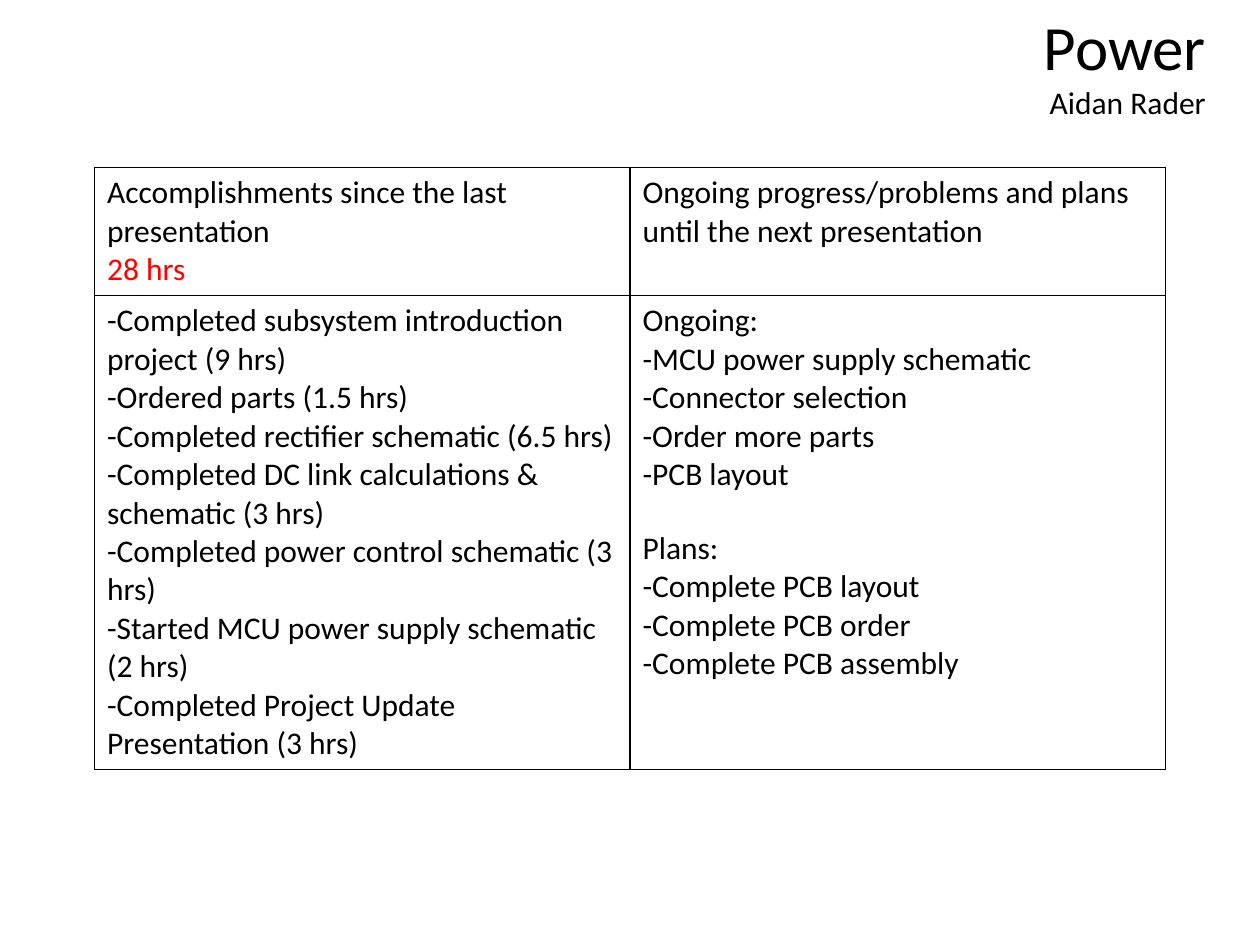
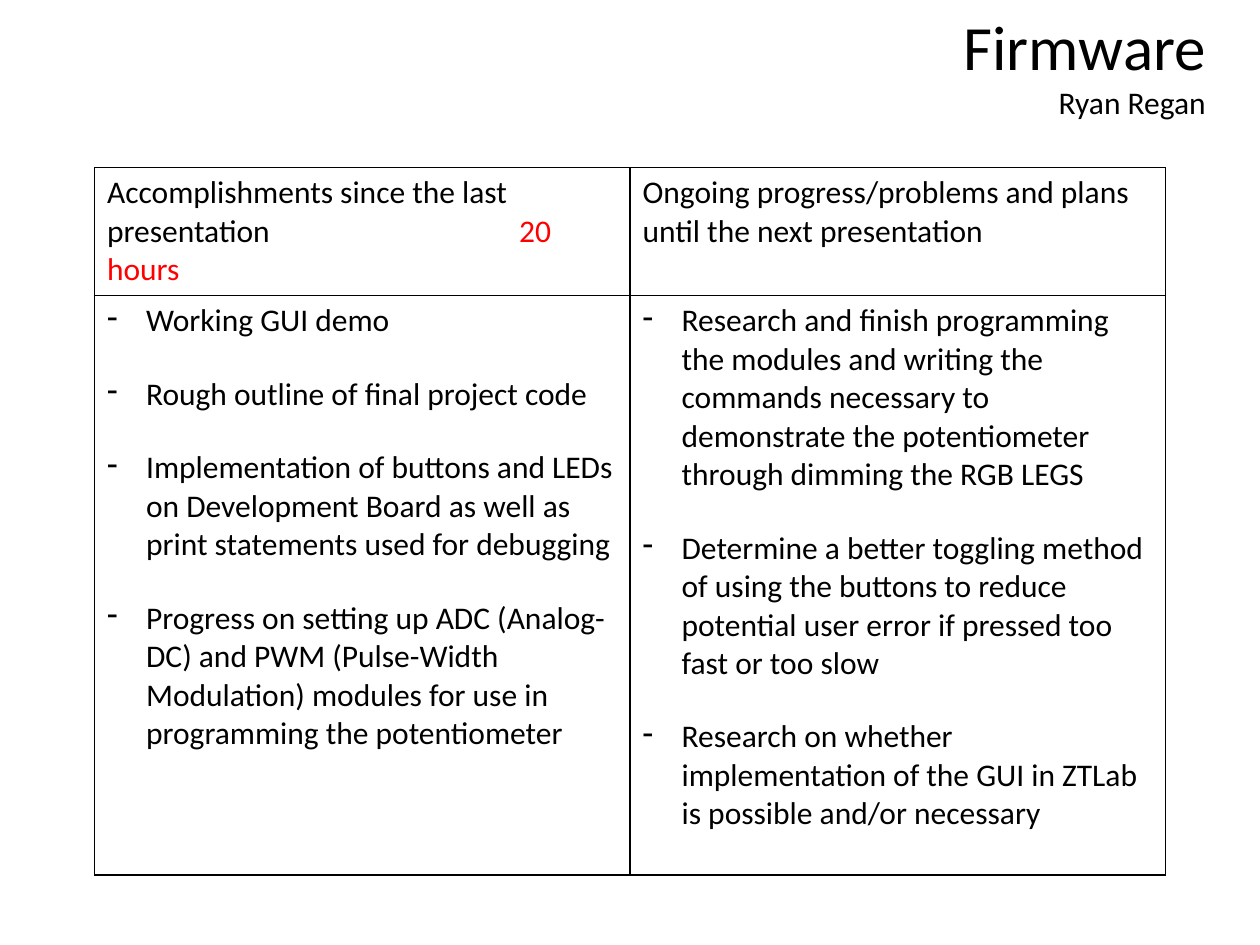
"""Build the Power and Firmware progress slides."""
from pptx import Presentation
from pptx.dml.color import RGBColor
from pptx.enum.text import MSO_ANCHOR, MSO_AUTO_SIZE, PP_ALIGN
from pptx.oxml import parse_xml
from pptx.oxml.ns import nsdecls
from pptx.util import Inches, Pt

FONT, BLACK, RED = "Calibri", "000000", "FF0000"
BODY_SIZE, TITLE_SIZE, GAP = 18, 36, 20
INDENT, HOURS_TAB = Inches(0.31), Inches(3.27)
TITLE_PLACE = {"left": Inches(2.42), "top": Inches(0.01), "width": Inches(7.25), "height": Inches(1.01)}
TITLE_FRAME = {"word_wrap": True, "auto_size": MSO_AUTO_SIZE.NONE, "vertical_anchor": MSO_ANCHOR.TOP}
TABLE_LEFT, TABLE_TOP, COLUMN_WIDTH, HEADER_HEIGHT = 0.75, 1.33, 4.25, 1
PLANS_HEADER = "Ongoing progress/problems and plans until the next presentation"
DONE_HEADER = "Accomplishments since the last presentation"

SLIDES = [
    {
        "title": "Power", "name": "Aidan Rader", "hours": "28 hrs", "hours_inline": False,
        "height": 3.7, "bulleted": False, "gap_after": ["-PCB layout"],
        "columns": [
            ["-Completed subsystem introduction project (9 hrs)",
             "-Ordered parts (1.5 hrs)",
             "-Completed rectifier schematic (6.5 hrs)",
             "-Completed DC link calculations & schematic (3 hrs)",
             "-Completed power control schematic (3 hrs)",
             "-Started MCU power supply schematic (2 hrs)",
             "-Completed Project Update Presentation (3 hrs)"],
            ["Ongoing:", "-MCU power supply schematic", "-Connector selection",
             "-Order more parts", "-PCB layout", "Plans:", "-Complete PCB layout",
             "-Complete PCB order", "-Complete PCB assembly"],
        ],
    },
    {
        "title": "Firmware", "name": "Ryan Regan", "hours": "20 hours", "hours_inline": True,
        "height": 4.6, "bulleted": True, "gap_after": [],
        "columns": [
            ["Working GUI demo",
             "Rough outline of final project code",
             "Implementation of buttons and LEDs on Development Board as well as print "
             "statements used for debugging",
             "Progress on setting up ADC (Analog-DC) and PWM (Pulse-Width Modulation) "
             "modules for use in programming the potentiometer"],
            ["Research and finish programming the modules and writing the commands necessary "
             "to demonstrate the potentiometer through dimming the RGB LEGS",
             "Determine a better toggling method of using the buttons to reduce potential "
             "user error if pressed too fast or too slow",
             "Research on whether implementation of the GUI in ZTLab is possible and/or necessary"],
        ],
    },
]


def add_span(para, text, color=BLACK, size=BODY_SIZE):
    span = para.add_run()
    span.text = text
    for name, value in {"name": FONT, "size": Pt(size), "bold": False}.items():
        setattr(span.font, name, value)
    span.font.color.rgb = RGBColor.from_string(color)


def next_para(frame):
    first = frame.paragraphs[0]
    return frame.add_paragraph() if first.runs else first


deck = Presentation()
deck.slide_width, deck.slide_height = Inches(10), Inches(7.5)

for content in SLIDES:
    page = deck.slides.add_slide(deck.slide_layouts[5])

    title = page.shapes.title
    for name, value in TITLE_PLACE.items():
        setattr(title, name, value)
    for name, value in TITLE_FRAME.items():
        setattr(title.text_frame, name, value)
    for text, size in [(content["title"], TITLE_SIZE), (content["name"], BODY_SIZE)]:
        para = next_para(title.text_frame)
        para.alignment = PP_ALIGN.RIGHT
        add_span(para, text, size=size)

    table = page.shapes.add_table(
        2, 2, Inches(TABLE_LEFT), Inches(TABLE_TOP),
        Inches(2 * COLUMN_WIDTH), Inches(HEADER_HEIGHT + content["height"])).table
    table.first_row = table.horz_banding = False
    table.rows[0].height = Inches(HEADER_HEIGHT)
    table.rows[1].height = Inches(content["height"])

    for cell in table.iter_cells():
        cell.fill.background()
        for index, side in enumerate("LRTB"):
            border = parse_xml(
                f'<a:ln{side} {nsdecls("a")} w="{Pt(1)}"><a:solidFill>'
                f'<a:srgbClr val="{BLACK}"/></a:solidFill></a:ln{side}>')
            cell._tc.get_or_add_tcPr().insert(index, border)

    done_frame = table.cell(0, 0).text_frame
    para = next_para(done_frame)
    add_span(para, DONE_HEADER)
    if content["hours_inline"]:
        para._p.get_or_add_pPr().append(parse_xml(
            f'<a:tabLst {nsdecls("a")}><a:tab pos="{HOURS_TAB}" algn="l"/></a:tabLst>'))
        add_span(para, "\t" + content["hours"], RED)
    else:
        add_span(next_para(done_frame), content["hours"], RED)
    add_span(next_para(table.cell(0, 1).text_frame), PLANS_HEADER)

    for column, items in enumerate(content["columns"]):
        frame = table.cell(1, column).text_frame
        for item in items:
            para = next_para(frame)
            add_span(para, item)
            if content["bulleted"] or item in content["gap_after"]:
                para.space_after = Pt(GAP)
            if content["bulleted"]:
                layout = para._p.get_or_add_pPr()
                layout.set("marL", str(INDENT))
                layout.set("indent", str(-INDENT))
                layout.append(parse_xml(f'<a:buChar {nsdecls("a")} char="-"/>'))

deck.save("out.pptx")
